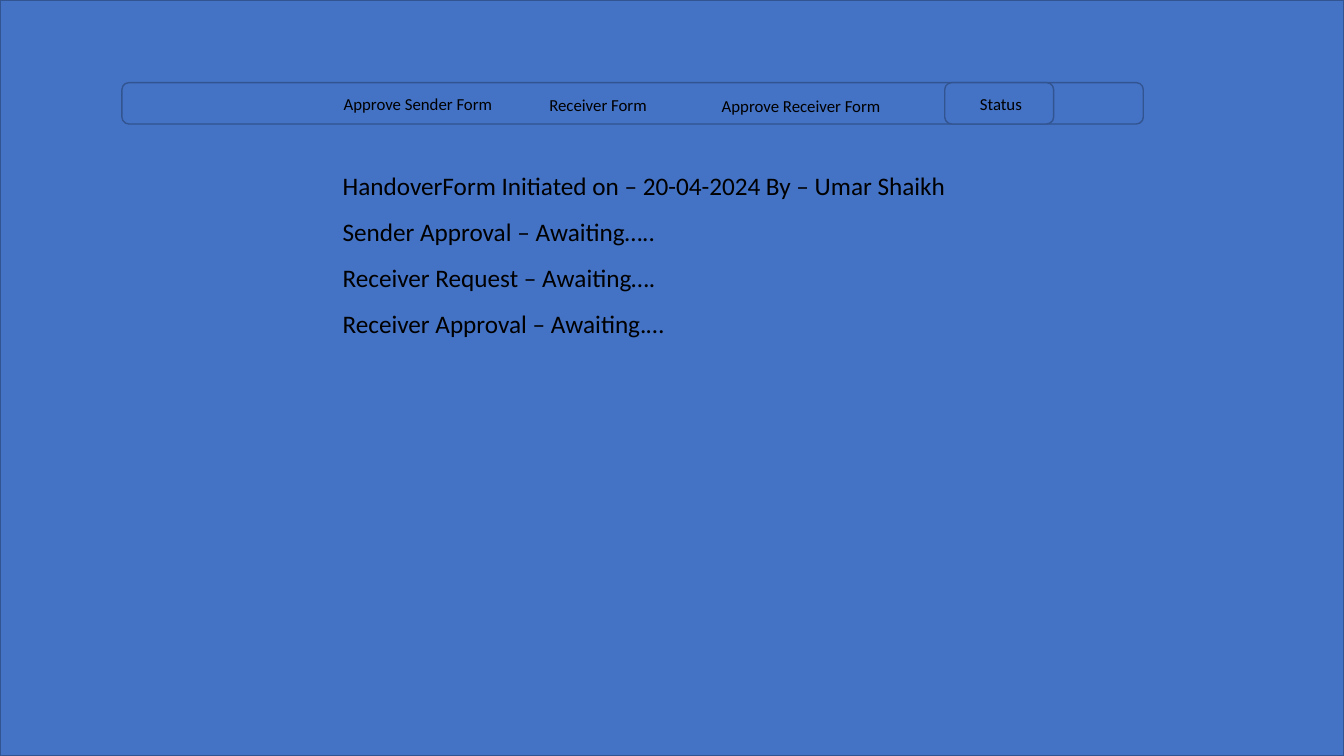
from pptx import Presentation
from pptx import util as u
from pptx.dml.color import RGBColor
from pptx.enum import shapes, text

COLOURS = {"panel": "4472C4", "outline": "325491", "ink": "000000"}
TAB_FORMAT = {"name": "Calibri", "size": u.Pt(12)}
STATUS_FORMAT = {"name": "Calibri", "size": u.Pt(18)}


class HandoverSlide:
    def __init__(self, presentation):
        self.slide = presentation.slides.add_slide(presentation.slide_layouts[6])

    def colour(self, name):
        return RGBColor.from_string(COLOURS[name])

    def panel(self, kind, *box):
        shape = self.slide.shapes.add_shape(kind, *map(u.Inches, box))
        shape.shadow.inherit = False
        shape.fill.solid()
        shape.fill.fore_color.rgb = self.colour("panel")
        shape.line.color.rgb = self.colour("outline")
        shape.line.width = u.Pt(1)

    def label(self, words, box, font_format):
        frame = self.slide.shapes.add_textbox(*map(u.Inches, box)).text_frame
        frame.word_wrap = False
        frame.auto_size = text.MSO_AUTO_SIZE.SHAPE_TO_FIT_TEXT
        run = frame.paragraphs[0].add_run()
        run.text = words
        for attribute, value in font_format.items():
            setattr(run.font, attribute, value)
        run.font.color.rgb = self.colour("ink")


def main():
    presentation = Presentation()
    presentation.slide_width = u.Inches(13.33)
    presentation.slide_height = u.Inches(7.5)
    page = HandoverSlide(presentation)
    rounded = shapes.MSO_SHAPE.ROUNDED_RECTANGLE

    page.panel(shapes.MSO_SHAPE.RECTANGLE, 0, 0, 13.33, 7.5)
    page.panel(rounded, 1.21, 0.82, 10.13, 0.41)
    page.panel(rounded, 9.37, 0.82, 1.08, 0.41)

    tabs = [
        ("Approve Sender Form", 3.31, 0.88, 1.69),
        ("Receiver Form", 5.35, 0.89, 1.18),
        ("Approve Receiver Form", 7.06, 0.9, 1.79),
        ("Status", 9.62, 0.88, 0.62),
    ]
    for words, left, top, width in tabs:
        page.label(words, (left, top, width, 0.3), TAB_FORMAT)

    statuses = [
        ("HandoverForm Initiated on – 20-04-2024 By – Umar Shaikh", 6.31),
        ("Sender Approval – Awaiting…..", 3.34),
        ("Receiver Request – Awaiting….", 3.34),
        ("Receiver Approval – Awaiting.…", 3.44),
    ]
    for row, (words, width) in enumerate(statuses):
        page.label(words, (3.3, 1.64 + 0.457 * row, width, 0.4), STATUS_FORMAT)

    presentation.save("out.pptx")


if __name__ == "__main__":
    main()
